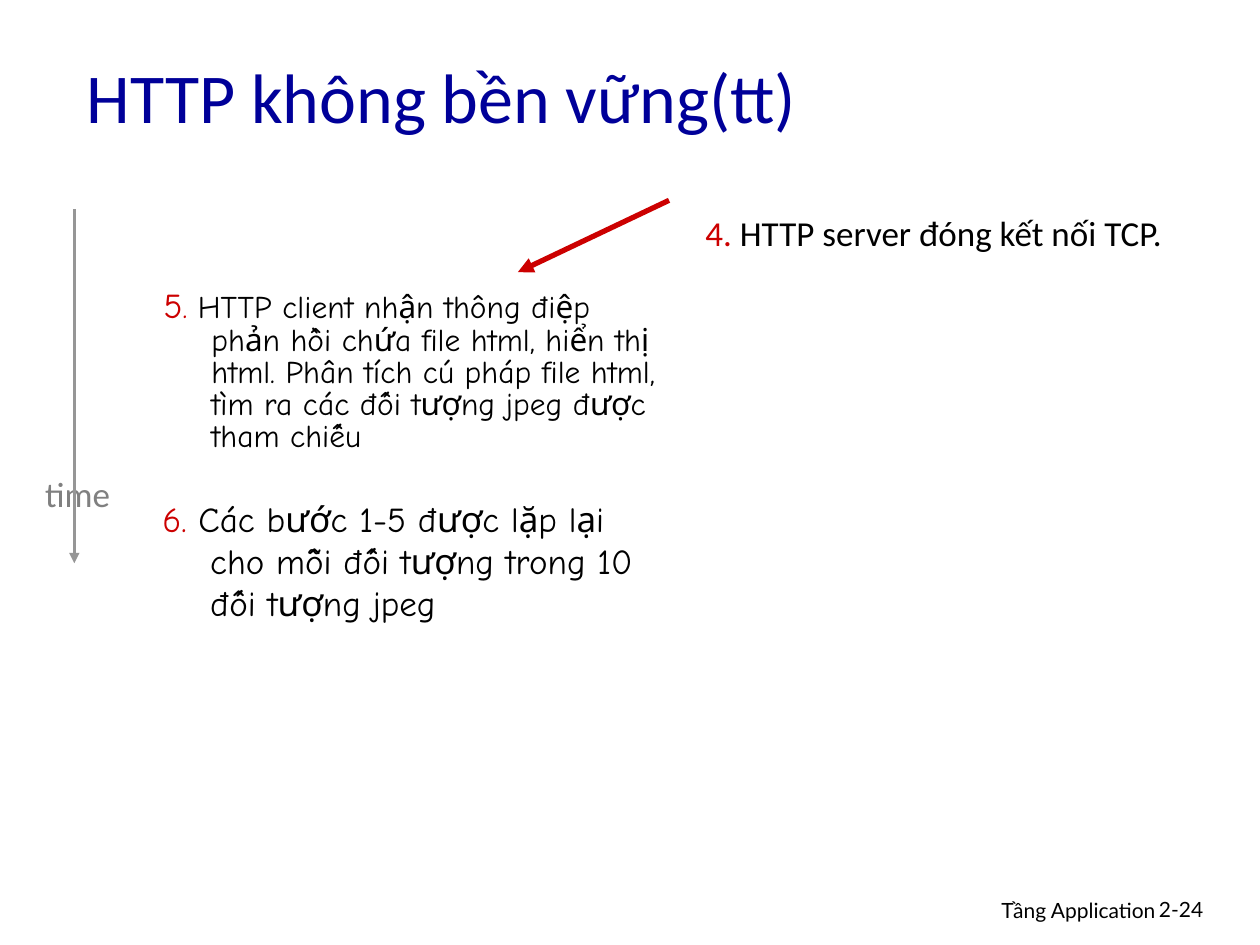
from lxml.etree import SubElement
from pptx import Presentation
from pptx.dml.color import RGBColor
from pptx.enum.shapes import MSO_CONNECTOR
from pptx.enum.text import MSO_ANCHOR, PP_ALIGN
from pptx.oxml.ns import qn
from pptx.util import Inches, Pt

BLACK = RGBColor(0x00, 0x00, 0x00)
NAVY = RGBColor(0x00, 0x00, 0x99)
RED = RGBColor(0xCC, 0x00, 0x00)
GRAY = RGBColor(0x80, 0x80, 0x80)
SILVER = RGBColor(0x96, 0x96, 0x96)

SANS, HAND, FOOT = "Calibri", "Comic Neue", "Lato"

# Text boxes: place, runs (text, size, colour), font, format values
TEXTS = [
    # Footer and page number
    ((6.1, 7.07, 3.17, 0.31), [("Tầng Application", 12, BLACK)], FOOT,
     {"align": PP_ALIGN.RIGHT}),
    ((9.1, 7.07, 0.74, 0.3), [("2-24", 12, BLACK)], FOOT, {}),
    # Title
    ((0.59, 0.28, 8.5, 0.95), [("HTTP không bền vững(tt)", 40, NAVY)], SANS,
     {"anchor": MSO_ANCHOR.MIDDLE}),
    # Steps
    ((1.2, 2.25, 4.17, 1.68),
     [("5", 20, RED), (".", 18, RED),
      (" HTTP client nhận thông điệp phản hồi chứa file html, hiển thị html. "
       "Phân tích cú pháp file html, tìm ra các đối tượng jpeg được tham chiếu",
       18, BLACK)],
     HAND, {"hang": 0.38, "space": 0.85}),
    ((1.19, 3.9, 4.17, 0.73),
     [("6.", 20, RED),
      (" Các bước 1-5 được lặp lại cho mỗi đối tượng trong 10 đối tượng jpeg",
       20, BLACK)],
     HAND, {"hang": 0.38}),
    ((5.5, 1.63, 4.17, 0.8),
     [("4.", 20, RED), (" HTTP server đóng kết nối TCP.", 20, BLACK)],
     SANS, {"hang": 0.38}),
    # Time label
    ((0.22, 3.7, 0.79, 0.44), [("time", 20, GRAY)], SANS,
     {"align": PP_ALIGN.CENTER, "wrap": False}),
]

# Arrows: start, end, colour, width
ARROWS = [
    ((0.59, 1.66), (0.59, 4.47), SILVER, 1.5),
    ((5.31, 1.59), (4.11, 2.16), RED, 3),
]


def add_text(slide, place, runs, face, form):
    frame = slide.shapes.add_textbox(*map(Inches, place)).text_frame
    frame.word_wrap = form.get("wrap", True)
    frame.vertical_anchor = form.get("anchor", MSO_ANCHOR.TOP)
    para = frame.paragraphs[0]
    para.alignment = form.get("align", PP_ALIGN.LEFT)
    para.line_spacing = form.get("space", 1.0)
    if "hang" in form:
        props = para._p.get_or_add_pPr()
        props.set("marL", str(Inches(form["hang"])))
        props.set("indent", str(-Inches(form["hang"])))
    for text, size, color in runs:
        run = para.add_run()
        run.text = text
        for key, value in {"name": face, "size": Pt(size)}.items():
            setattr(run.font, key, value)
        run.font.color.rgb = color


def add_arrow(slide, start, end, color, width):
    link = slide.shapes.add_connector(
        MSO_CONNECTOR.STRAIGHT, *map(Inches, start + end))
    link.line.color.rgb = color
    link.line.width = Pt(width)
    SubElement(link.line._get_or_add_ln(), qn("a:tailEnd"), type="triangle")
    SubElement(link._element.spPr, qn("a:effectLst"))


def main():
    deck = Presentation()
    deck.slide_width, deck.slide_height = Inches(10), Inches(7.5)
    slide = deck.slides.add_slide(deck.slide_layouts[6])
    for item in TEXTS:
        add_text(slide, *item)
    for item in ARROWS:
        add_arrow(slide, *item)
    deck.save("out.pptx")


if __name__ == "__main__":
    main()
